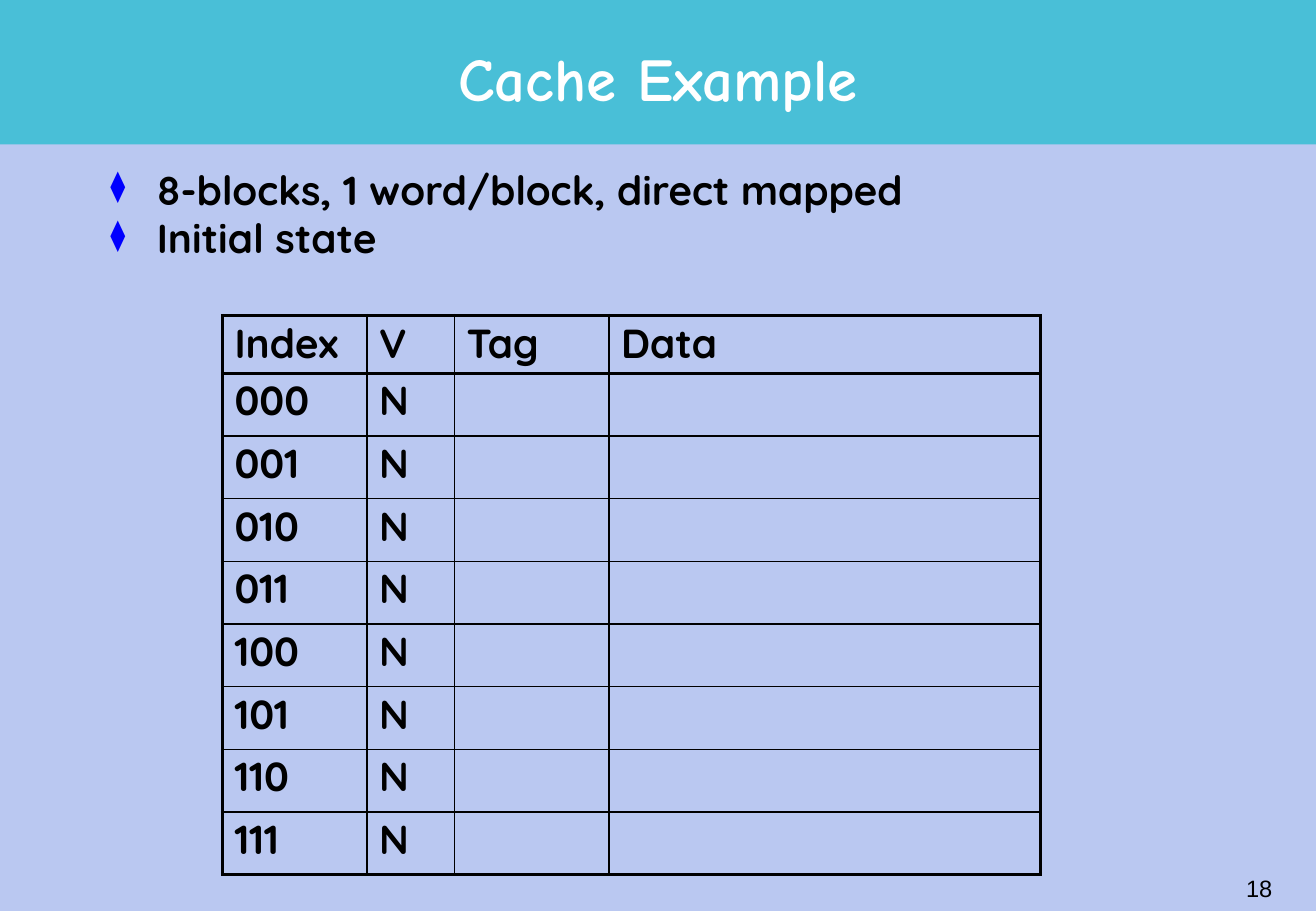
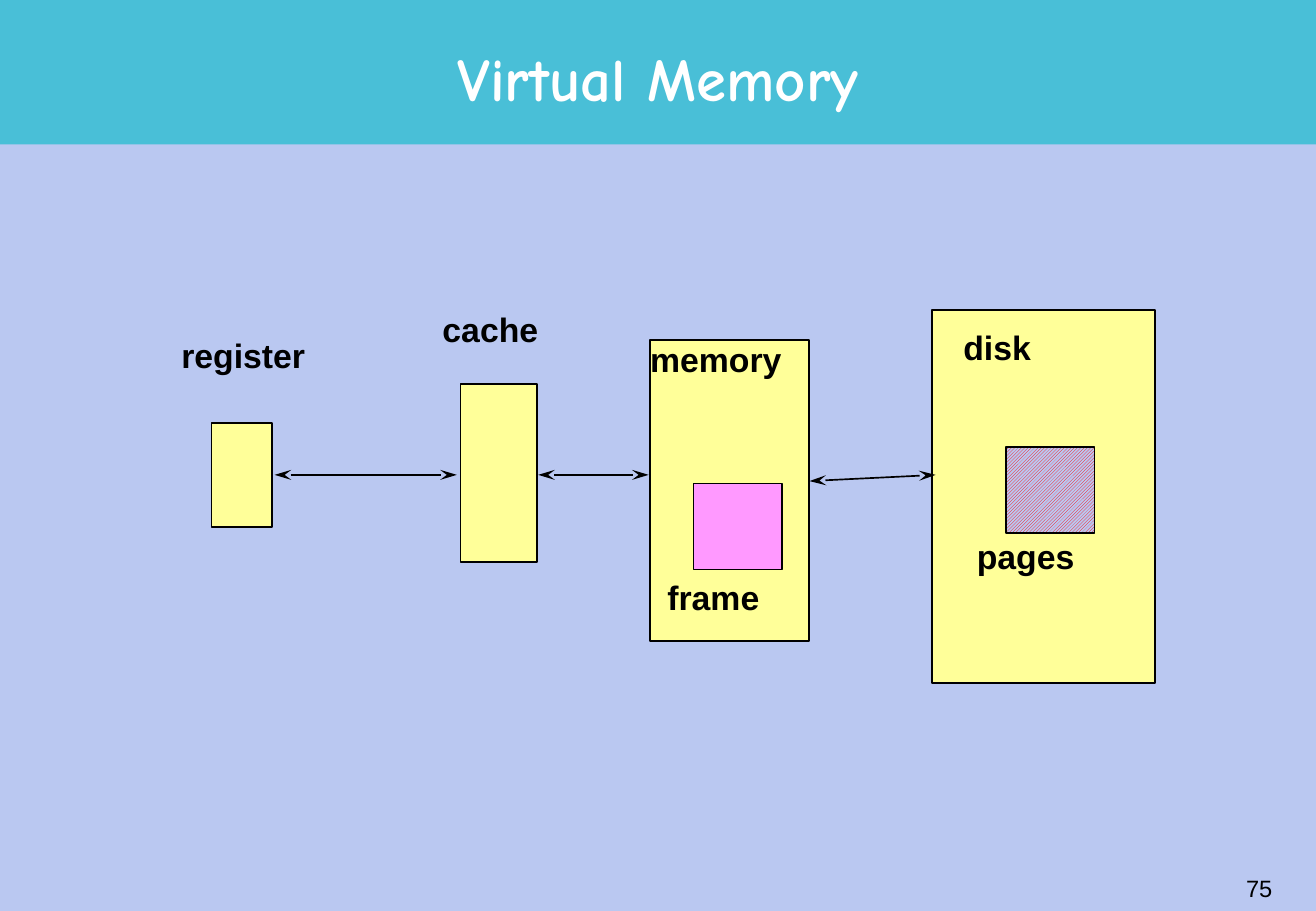
from dataclasses import dataclass

import pptx
import pptx.dml.color
import pptx.enum.dml
import pptx.enum.shapes
import pptx.enum.text
import pptx.oxml
import pptx.oxml.ns
import pptx.presentation
import pptx.shapes.base
import pptx.slide
import pptx.table
import pptx.text.text
import pptx.util
from lxml import etree
from pptx.util import Cm, Pt

COLORS = {
    "background": "BAC8F1",
    "band": "49BFD7",
    "title": "FFFFFF",
    "ink": "000000",
    "bullet": "0000FF",
    "store": "FFFF99",
    "frame": "FF99FF",
    "page_hatch": "FF0000",
}
TITLE_FONT, BODY_FONT, LABEL_FONT = "Comic Neue", "Quicksand", "Arial"
SLIDE_WIDTH, SLIDE_HEIGHT = 27.51, 19.05
ALIGN = pptx.enum.text.PP_ALIGN
ANCHOR = pptx.enum.text.MSO_ANCHOR
RECTANGLE = pptx.enum.shapes.MSO_SHAPE.RECTANGLE


@dataclass(frozen=True)
class Area:
    """A rectangle in centimetres."""
    left: float
    top: float
    width: float
    height: float

    def lengths(self) -> tuple[Cm, Cm, Cm, Cm]:
        return Cm(self.left), Cm(self.top), Cm(self.width), Cm(self.height)


@dataclass(frozen=True)
class TextStyle:
    font: str
    size: float
    color: str = "ink"
    bold: bool = True
    align: ALIGN = ALIGN.LEFT
    spacing: float = 0.9


@dataclass(frozen=True)
class Label:
    text: str
    left: float
    top: float
    width: float
    spacing: float = 0.85


@dataclass(frozen=True)
class Arrow:
    start: tuple[float, float]
    end: tuple[float, float]


TITLE_STYLE = TextStyle(TITLE_FONT, 36, "title", align=ALIGN.CENTER, spacing=0.85)
BODY_STYLE = TextStyle(BODY_FONT, 24)
NUMBER_STYLE = TextStyle(LABEL_FONT, 14, bold=False, align=ALIGN.RIGHT, spacing=1.0)

BULLETS = ["8-blocks, 1 word/block, direct mapped", "Initial state"]
CACHE_HEADER = ["Index", "V", "Tag", "Data"]
CACHE_ROWS = [[f"{index:03b}", "N", "", ""] for index in range(8)]
CACHE_COLUMNS = [3.02, 1.83, 3.23, 9.02]
HEADER_HEIGHT, ROW_HEIGHT = 1.21, 1.31
OUTER_LINE, HEADER_LINE, INNER_LINE = 2.25, 1.5, 1.0

STORES = [
    Area(4.42, 8.84, 1.27, 2.18),
    Area(9.63, 8.03, 1.6, 3.73),
    Area(13.59, 7.11, 3.33, 6.3),
    Area(19.48, 6.48, 4.67, 7.8),
]
FRAME = Area(14.5, 10.11, 1.85, 1.8)
PAGE = Area(21.03, 9.35, 1.85, 1.8)
TRANSFERS = [
    Arrow((5.74, 9.93), (9.55, 9.93)),
    Arrow((11.25, 9.93), (13.56, 9.93)),
    Arrow((16.92, 10.06), (19.56, 9.93)),
]
LABELS = [
    Label("register", 3.61, 6.96, 3.28, 0.97),
    Label("cache", 9.07, 6.43, 2.64, 0.97),
    Label("memory", 13.41, 7.14, 3.48),
    Label("disk", 19.96, 6.88, 1.98),
    Label("frame", 13.77, 12.12, 2.54),
    Label("pages", 20.24, 11.23, 2.69, 0.9),
]


def rgb(name: str) -> pptx.dml.color.RGBColor:
    return pptx.dml.color.RGBColor.from_string(COLORS[name])


def add_child(parent: etree._Element, tag: str, **attributes: str) -> etree._Element:
    child = etree.SubElement(parent, pptx.oxml.ns.qn(tag))
    for key, value in attributes.items():
        child.set(key, value)
    return child


def style_paragraph(paragraph: pptx.text.text._Paragraph, style: TextStyle) -> None:
    paragraph.alignment = style.align
    paragraph.line_spacing = style.spacing
    font = paragraph.font
    font.name, font.size, font.bold = style.font, Pt(style.size), style.bold
    font.color.rgb = rgb(style.color)


def add_text(
    slide: pptx.slide.Slide,
    area: Area,
    text: str,
    style: TextStyle,
    anchor: ANCHOR = ANCHOR.TOP,
    insets: tuple[float, float] = (0.25, 0.13),
) -> pptx.text.text.TextFrame:
    frame = slide.shapes.add_textbox(*area.lengths()).text_frame
    frame.word_wrap = True
    frame.vertical_anchor = anchor
    frame.margin_left = frame.margin_right = Cm(insets[0])
    frame.margin_top = frame.margin_bottom = Cm(insets[1])
    frame.text = text
    for paragraph in frame.paragraphs:
        style_paragraph(paragraph, style)
    return frame


def add_rectangle(slide: pptx.slide.Slide, area: Area, color: str) -> pptx.shapes.base.BaseShape:
    """Add a filled rectangle with a thin dark outline."""
    rectangle = slide.shapes.add_shape(RECTANGLE, *area.lengths())
    rectangle.shadow.inherit = False
    rectangle.fill.solid()
    rectangle.fill.fore_color.rgb = rgb(color)
    rectangle.line.color.rgb = rgb("ink")
    rectangle.line.width = Pt(1)
    return rectangle


def add_base_slide(
    presentation: pptx.presentation.Presentation, title: str, number: int
) -> pptx.slide.Slide:
    """Add a slide with the title band, the title and the page number."""
    slide = presentation.slides.add_slide(presentation.slide_layouts[6])
    band = add_rectangle(slide, Area(0, 0, SLIDE_WIDTH, 3.02), "band")
    band.line.fill.background()
    add_text(slide, Area(2.06, 0.48, 23.39, 2.52), title, TITLE_STYLE, ANCHOR.MIDDLE)
    add_text(slide, Area(21.11, 17.93, 5.74, 1.27), str(number), NUMBER_STYLE, ANCHOR.MIDDLE)
    return slide


def add_bullets(slide: pptx.slide.Slide, area: Area, items: list[str]) -> None:
    frame = add_text(slide, area, items[0], BODY_STYLE)
    for item in items[1:]:
        paragraph = frame.add_paragraph()
        paragraph.text = item
        paragraph.space_before = Pt(3)
    for paragraph in frame.paragraphs:
        properties = paragraph._p.get_or_add_pPr()
        properties.set("marL", str(Cm(0.97)))
        properties.set("indent", str(-Cm(0.97)))
        for old_font in properties.findall(pptx.oxml.ns.qn("a:defRPr")):
            properties.remove(old_font)
        add_child(add_child(properties, "a:buClr"), "a:srgbClr", val=COLORS["bullet"])
        add_child(properties, "a:buSzPct", val="75000")
        add_child(properties, "a:buChar", char="⧫")
        style_paragraph(paragraph, BODY_STYLE)


def set_borders(cell: pptx.table._Cell, widths: dict[str, float]) -> None:
    properties = cell._tc.get_or_add_tcPr()
    for side in "LRTB":
        border = add_child(properties, f"a:ln{side}", w=str(Pt(widths[side])))
        add_child(add_child(border, "a:solidFill"), "a:srgbClr", val=COLORS["ink"])


def add_cache_table(slide: pptx.slide.Slide) -> None:
    contents = [CACHE_HEADER, *CACHE_ROWS]
    heights = [HEADER_HEIGHT] + [ROW_HEIGHT] * len(CACHE_ROWS)
    area = Area(4.65, 6.6, sum(CACHE_COLUMNS), sum(heights))
    table = slide.shapes.add_table(len(heights), len(CACHE_COLUMNS), *area.lengths()).table
    table.first_row = table.horz_banding = False
    for column, width in zip(table.columns, CACHE_COLUMNS):
        column.width = Cm(width)
    for row, height in zip(table.rows, heights):
        row.height = Cm(height)

    row_lines = [OUTER_LINE, HEADER_LINE] + [INNER_LINE] * (len(heights) - 2) + [OUTER_LINE]
    column_lines = [OUTER_LINE] + [INNER_LINE] * (len(CACHE_COLUMNS) - 1) + [OUTER_LINE]
    for r, texts in enumerate(contents):
        for c, text in enumerate(texts):
            cell = table.cell(r, c)
            cell.text = text
            style_paragraph(cell.text_frame.paragraphs[0], BODY_STYLE)
            set_borders(cell, {
                "L": column_lines[c],
                "R": column_lines[c + 1],
                "T": row_lines[r],
                "B": row_lines[r + 1],
            })
            cell.fill.background()


def add_arrow(slide: pptx.slide.Slide, arrow: Arrow) -> None:
    """Add a line with a stealth arrowhead at both ends."""
    ends = [Cm(value) for value in (*arrow.start, *arrow.end)]
    connector = slide.shapes.add_connector(pptx.enum.shapes.MSO_CONNECTOR.STRAIGHT, *ends)
    connector.line.color.rgb = rgb("ink")
    connector.line.width = Pt(1)
    line = connector.line._get_or_add_ln()
    for tag in ("a:headEnd", "a:tailEnd"):
        add_child(line, tag, type="stealth", w="med", len="lg")
    add_child(connector._element.spPr, "a:effectLst")


def build_cache_slide(presentation: pptx.presentation.Presentation) -> None:
    slide = add_base_slide(presentation, "Cache Example", 18)
    add_bullets(slide, Area(2.06, 3.43, 23.39, 2.9), BULLETS)
    add_cache_table(slide)


def build_memory_slide(presentation: pptx.presentation.Presentation) -> None:
    slide = add_base_slide(presentation, "Virtual Memory", 75)
    for store in STORES:
        add_rectangle(slide, store, "store")
    for transfer in TRANSFERS:
        add_arrow(slide, transfer)
    add_rectangle(slide, FRAME, "frame")
    page_fill = add_rectangle(slide, PAGE, "background").fill
    page_fill.patterned()
    page_fill.pattern = pptx.enum.dml.MSO_PATTERN.LIGHT_UPWARD_DIAGONAL
    page_fill.fore_color.rgb = rgb("page_hatch")
    page_fill.back_color.rgb = rgb("background")
    for label in LABELS:
        style = TextStyle(LABEL_FONT, 20, spacing=label.spacing)
        area = Area(label.left, label.top, label.width, 1.0)
        add_text(slide, area, label.text, style, insets=(0.18, 0.08))


def main() -> None:
    presentation = pptx.Presentation()
    presentation.slide_width = Cm(SLIDE_WIDTH)
    presentation.slide_height = Cm(SLIDE_HEIGHT)
    background = presentation.slide_master.background.fill
    background.solid()
    background.fore_color.rgb = rgb("background")
    build_cache_slide(presentation)
    build_memory_slide(presentation)
    presentation.save("out.pptx")


if __name__ == "__main__":
    main()
